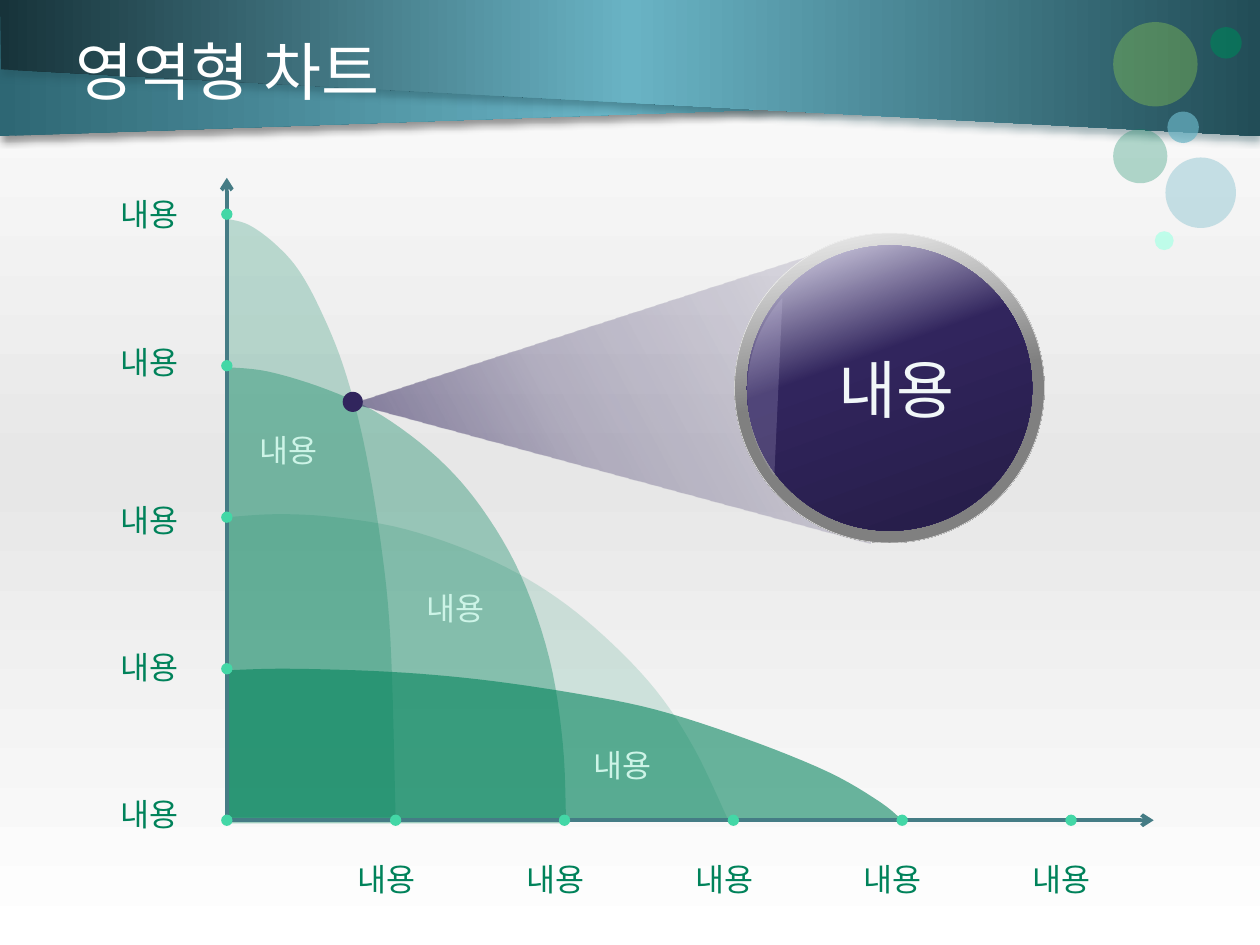
from lxml import etree
from pptx import Presentation
from pptx.dml.color import RGBColor
from pptx.enum.shapes import MSO_CONNECTOR, MSO_SHAPE
from pptx.enum.text import MSO_ANCHOR, MSO_AUTO_SIZE
from pptx.oxml.ns import qn
from pptx.util import Inches, Pt

WHITE = RGBColor(0xFF, 0xFF, 0xFF)
BLACK = RGBColor(0x00, 0x00, 0x00)
MIST = RGBColor(0xE7, 0xE7, 0xE7)
GREEN = RGBColor(0x00, 0x82, 0x5A)
MINT = RGBColor(0x43, 0xD7, 0xA6)
PALE_MINT = RGBColor(0xCD, 0xF4, 0xE7)
BRIGHT_MINT = RGBColor(0xB3, 0xFF, 0xE8)
LIME = RGBColor(0x93, 0xD1, 0x51)
SKY = RGBColor(0x69, 0xB3, 0xC4)
TEAL = RGBColor(0x2E, 0x67, 0x74)
DEEP_TEAL = RGBColor(0x22, 0x4D, 0x57)
DARK_TEAL = RGBColor(0x17, 0x33, 0x3A)
AXIS = RGBColor(0x45, 0x7C, 0x85)
PURPLE = RGBColor(0x31, 0x25, 0x5D)
DARK_PURPLE = RGBColor(0x25, 0x1C, 0x46)
LILAC = RGBColor(0xE7, 0xE4, 0xF4)
GLOSS = RGBColor(0xD0, 0xC9, 0xE9)
SILVER = RGBColor(0xF2, 0xF2, 0xF2)
GRAY = RGBColor(0x80, 0x80, 0x80)
ICE = RGBColor(0xF1, 0xF7, 0xF8)

LABEL = "내용"
AREAS = [
    (15, [(0, 2), (.3, 1.98), (.64, 2), (1.06, 2.08), (1.52, 2.26), (1.9, 2.49),
          (2.23, 2.78), (2.54, 3.14), (2.77, 3.53), (2.97, 4)]),
    (35, [(0, 1.01), (.25, 1.04), (.6, 1.16), (.92, 1.33), (1.25, 1.61), (1.51, 1.94),
          (1.74, 2.38), (1.91, 2.93), (1.99, 3.49), (2.01, 4.02)]),
    (24, [(0, .03), (.13, .07), (.28, .19), (.42, .36), (.55, .62), (.69, 1),
          (.81, 1.5), (.91, 2.15), (.97, 2.82), (1, 3.98)]),
    (58, [(0, 3.01), (.37, 3), (.96, 3.02), (1.49, 3.07), (2.05, 3.16), (2.54, 3.27),
          (3.07, 3.46), (3.56, 3.68), (3.87, 3.88), (4.01, 4.01)]),
]


def add_color(parent, color, alpha=100):
    clr = etree.SubElement(parent, qn("a:srgbClr"), val=str(color))
    if alpha < 100:
        etree.SubElement(clr, qn("a:alpha"), val=str(alpha * 1000))


def fill_gradient(fill, element, stops, angle):
    fill.gradient()
    fill.gradient_angle = -angle % 360
    gs_list = element.find(".//" + qn("a:gsLst"))
    for gs in list(gs_list):
        gs_list.remove(gs)
    for pos, color, *alpha in stops:
        gs = etree.SubElement(gs_list, qn("a:gs"), pos=str(pos * 1000))
        add_color(gs, color, *alpha)


def style(shape, color=None, alpha=100, stops=None, angle=0):
    shape.shadow.inherit = False
    shape.line.fill.background()
    if stops:
        fill_gradient(shape.fill, shape._element, stops, angle)
    else:
        shape.fill.solid()
        shape.fill.fore_color.rgb = color
        solid = shape._element.spPr.find(qn("a:solidFill"))
        solid.remove(solid[0])
        add_color(solid, color, alpha)
    return shape


def add_circle(s, cx, cy, d, kind=MSO_SHAPE.OVAL, **look):
    box = [Inches(v) for v in (cx - d / 2, cy - d / 2, d, d)]
    return style(s.shapes.add_shape(kind, *box), **look)


def add_outline(s, points, **look):
    start, *rest = [(Inches(x), Inches(y)) for x, y in points]
    builder = s.shapes.build_freeform(*start)
    builder.add_line_segments(rest, close=True)
    return style(builder.convert_to_shape(), **look)


def add_text(s, text, x, y, w, h, size, color, font="Arial", wrap=False, middle=False):
    tf = s.shapes.add_textbox(*[Inches(v) for v in (x, y, w, h)]).text_frame
    tf.word_wrap = wrap
    tf.auto_size = MSO_AUTO_SIZE.NONE if wrap else MSO_AUTO_SIZE.SHAPE_TO_FIT_TEXT
    tf.vertical_anchor = MSO_ANCHOR.MIDDLE if middle else MSO_ANCHOR.TOP
    p = tf.paragraphs[0]
    p.text = text
    p.font.size, p.font.name = Pt(size), font
    p.font.color.rgb = color


def add_arrow(s, x1, y1, x2, y2):
    c = s.shapes.add_connector(MSO_CONNECTOR.STRAIGHT, *[Inches(v) for v in (x1, y1, x2, y2)])
    c.line.color.rgb, c.line.width = AXIS, Pt(2.25)
    etree.SubElement(c.line._get_or_add_ln(), qn("a:headEnd"), type="arrow")
    etree.SubElement(c._element.spPr, qn("a:effectLst"))


def smooth_curve(points, steps=6):
    padded = [points[0], *points, points[-1]]
    curve = []
    for a, b, c, d in zip(padded, padded[1:], padded[2:], padded[3:]):
        for t in (i / steps for i in range(steps)):
            curve.append(tuple(
                q + t / 2 * (r - p + t * (2 * p - 5 * q + 4 * r - u + t * (3 * (q - r) + u - p)))
                for p, q, r, u in zip(a, b, c, d)))
    return curve + [points[-1]]


def add_header(s, x, y, w, h):
    bands = [
        ([(0, 0), (.967, .69), (0, 1)], TEAL, BLACK),
        ([(1, 0), (0, 0), (.001, .51), (1, 1)], DARK_TEAL, DEEP_TEAL),
    ]
    for points, first, shade in bands:
        band = add_outline(s, [(x + px * w, y + py * h) for px, py in points],
                           stops=[(0, first), (50, SKY), (100, DEEP_TEAL)])
        effects = band._element.spPr.find(qn("a:effectLst"))
        shadow = etree.SubElement(effects, qn("a:outerShdw"), blurRad=str(Pt(4)),
                                  dist=str(Pt(3)), dir="5400000", rotWithShape="0")
        add_color(shadow, shade, 40)
    add_text(s, "영역형 차트", x + .05 * w, y + .08, .9 * w, .88 * h, 36, WHITE,
             font="Roboto", wrap=True, middle=True)


def add_bubbles(s, x, y):
    for dx, dy, d, color, alpha in [
        (.41, 1.74, .15, BRIGHT_MINT, 82), (.22, 1.07, .43, GREEN, 29),
        (.7, 1.36, .56, SKY, 35), (.56, .84, .25, SKY, 70),
        (.34, .34, .67, LIME, 36), (.9, .17, .25, GREEN, 65),
    ]:
        add_circle(s, x + dx, y + dy, d, color=color, alpha=alpha)


def add_area_chart(s, x, y, w, h, cols=5, rows=4):
    def at(col, row):
        return x + col * w / cols, y + row * h / rows

    def label(col, row, color):
        add_text(s, LABEL, *at(col, row), .7, .4, 18, color)

    for alpha, points in AREAS:
        corner = (0, points[-1][1])
        add_outline(s, [at(*p) for p in smooth_curve(points) + [corner]],
                    color=GREEN, alpha=alpha)
    add_arrow(s, *at(0, -.24), *at(0, rows))
    add_arrow(s, *at(cols + .49, rows), *at(0, rows))
    ticks = [(0, row) for row in range(rows + 1)] + [(col, rows) for col in range(1, cols + 1)]
    for tick in ticks:
        add_circle(s, *at(*tick), .09, color=MINT)
    for i in range(3):
        label(.12 + .99 * i, 1.39 + 1.04 * i, PALE_MINT)
    for row in (-.17, .81, 1.85, 2.82, 3.79):
        label(-.7, row, GREEN)
    for col in range(cols):
        label(.7 + col, rows + .22, GREEN)


def add_callout(s, cx, cy, d):
    left, top = cx - 3.16, cy - 1.71
    cone = add_outline(s, [(left + 2.92, top), (left, top + 3.1), (left + 2.16, top + 4.24)],
                       stops=[(0, PURPLE, 75), (40, PURPLE, 30), (100, PURPLE, 0)], angle=90)
    cone.rotation = 241.9
    ring = add_circle(s, cx, cy, d, stops=[(0, SILVER), (50, GRAY), (100, GRAY)], angle=80)
    ring.line.color.rgb, ring.line.width = SILVER, Pt(.25)
    inner = .92 * d
    add_circle(s, cx, cy, inner, stops=[(0, LILAC), (40, PURPLE), (100, DARK_PURPLE)], angle=70)
    gloss = add_circle(s, cx, cy + .03, inner, kind=MSO_SHAPE.CHORD, color=GLOSS, alpha=20)
    gloss.rotation = 90
    for i, degrees in enumerate((53.95, 131.3)):
        gloss.adjustments[i] = degrees * .6
    add_circle(s, cx - 4.26, cy + .11, .16, color=PURPLE)
    add_text(s, LABEL, cx - .5, cy - .35, 1.2, .71, 36, ICE, middle=True)


def main():
    prs = Presentation()
    prs.slide_width, prs.slide_height = Inches(10), Inches(7.5)
    s = prs.slides.add_slide(prs.slide_layouts[6])
    fill_gradient(s.background.fill, s._element, [(0, WHITE), (50, MIST), (100, WHITE)], 90)
    add_header(s, 0, 0, 10, 1.08)
    add_bubbles(s, 8.83, .17)
    add_area_chart(s, 1.8, 1.7, 6.7, 4.81)
    add_callout(s, 7.06, 3.08, 2.46)
    prs.save("out.pptx")


if __name__ == "__main__":
    main()
